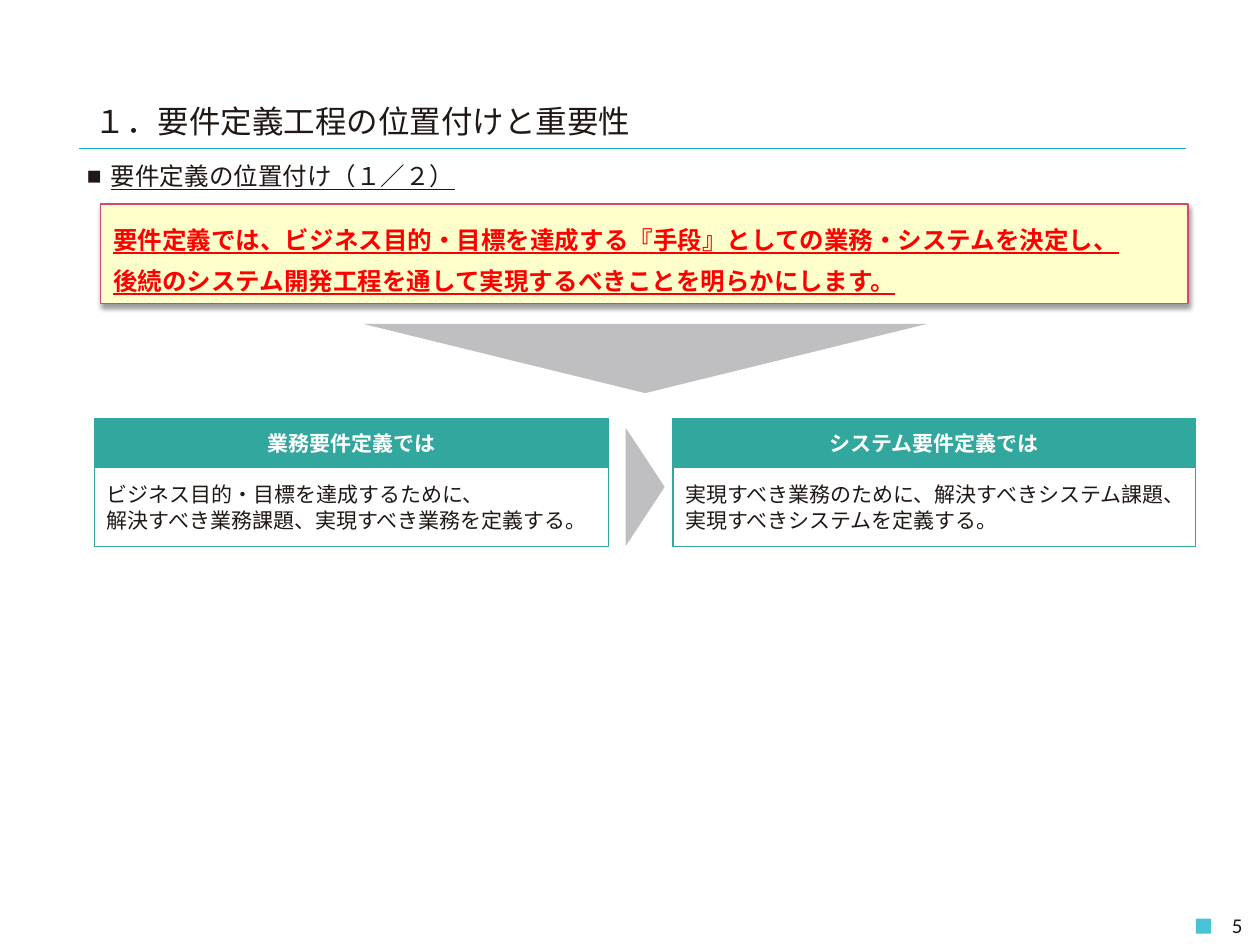
"""Build the slide on the place of requirements definition in a project."""
import copy

import pptx
import pptx.dml.color
import pptx.enum.shapes
import pptx.enum.text
import pptx.oxml
import pptx.oxml.ns
import pptx.util

Inches = pptx.util.Inches
Pt = pptx.util.Pt
RGBColor = pptx.dml.color.RGBColor
Align = pptx.enum.text.PP_ALIGN
Anchor = pptx.enum.text.MSO_ANCHOR
Shape = pptx.enum.shapes.MSO_SHAPE
qn = pptx.oxml.ns.qn

INK = RGBColor(0x20, 0x18, 0x15)
WHITE = RGBColor(0xFF, 0xFF, 0xFF)
RED = RGBColor(0xFF, 0x00, 0x00)
TEAL = RGBColor(0x32, 0xA7, 0x9D)
GRAY = RGBColor(0xBF, 0xBF, 0xC1)
CREAM = RGBColor(0xFF, 0xFF, 0xCC)
PINK = RGBColor(0xD6, 0x47, 0x73)
CYAN = RGBColor(0x47, 0xC3, 0xD3)
RULE = RGBColor(0x1B, 0xAD, 0xBD)
JAPANESE = "Noto Sans CJK JP"

SHADOW = (
    '<a:effectLst %s><a:outerShdw blurRad="39370" dist="20320" dir="5400000" rotWithShape="0">'
    '<a:srgbClr val="000000"><a:alpha val="38000"/></a:srgbClr></a:outerShdw></a:effectLst>'
    % pptx.oxml.ns.nsdecls("a")
)


def write(shape, *texts, size=12, color=INK, bold=False, underline=False, font=JAPANESE,
          align=Align.LEFT, anchor=Anchor.MIDDLE, before=0, spacing=1.0):
    frame = shape.text_frame
    frame.word_wrap = True
    frame.auto_size = pptx.enum.text.MSO_AUTO_SIZE.NONE
    frame.vertical_anchor = anchor
    for index, text in enumerate(texts):
        paragraph = frame.add_paragraph() if index else frame.paragraphs[0]
        paragraph.text = text
        paragraph.alignment = align
        paragraph.space_before = Pt(before)
        paragraph.line_spacing = spacing
        for run in paragraph.runs:
            run.font.size = Pt(size)
            run.font.bold = bold
            run.font.underline = underline
            run.font.color.rgb = color
            run.font.name = font
            properties = run.font._element
            east_asian = properties.makeelement(qn("a:ea"), {"typeface": font})
            properties.append(east_asian)
        for line_break in paragraph._p.findall(qn("a:br")):
            line_break.append(copy.deepcopy(paragraph.runs[0].font._element))


def place(shape, left, top, width, height):
    shape.left, shape.top = Inches(left), Inches(top)
    shape.width, shape.height = Inches(width), Inches(height)


def add_block(shapes, kind, left, top, width, height, fill, line=None, rotation=0):
    shape = shapes.add_shape(kind, Inches(left), Inches(top), Inches(width), Inches(height))
    shape.shadow.inherit = False
    shape.rotation = rotation
    shape.fill.solid()
    shape.fill.fore_color.rgb = fill
    if line is None:
        shape.line.fill.background()
    else:
        shape.line.color.rgb = line
        shape.line.width = Pt(0.75)
    return shape


def add_rule(slide, left, right, top):
    connector = slide.shapes.add_connector(
        pptx.enum.shapes.MSO_CONNECTOR.STRAIGHT,
        Inches(left), Inches(top), Inches(right), Inches(top))
    connector.line.color.rgb = RULE
    connector.line.width = Pt(0.25)
    properties = connector._element.spPr
    properties.append(properties.makeelement(qn("a:effectLst"), {}))


def set_bullet(paragraph, character, indent):
    properties = paragraph._p.get_or_add_pPr()
    properties.set("marL", str(Inches(indent)))
    properties.set("indent", str(-Inches(indent)))
    properties.append(properties.makeelement(qn("a:buChar"), {"char": character}))


def add_card(slide, left, width, heading, body):
    shapes = slide.shapes.add_group_shape().shapes
    header = add_block(shapes, Shape.RECTANGLE, left, 3.32, width, 0.39, TEAL, TEAL)
    write(header, heading, color=WHITE, bold=True, align=Align.CENTER)
    panel = add_block(shapes, Shape.RECTANGLE, left, 3.71, width, 0.63, WHITE, TEAL)
    write(panel, body, before=6)


def add_message(slide, *texts):
    box = add_block(slide.shapes, Shape.RECTANGLE, 0.8, 1.62, 8.63, 0.79, CREAM, PINK)
    properties = box._element.spPr
    properties.replace(properties.find(qn("a:effectLst")), pptx.oxml.parse_xml(SHADOW))
    write(box, *texts, size=14, color=RED, bold=True, underline=True, spacing=1.4)


def add_headings(slide):
    title, body = slide.placeholders
    place(title, 0.65, 0.76, 7.34, 0.39)
    write(title, "１．要件定義工程の位置付けと重要性", size=18, anchor=Anchor.TOP)
    place(body, 0.59, 1.23, 8.9, 0.34)
    write(body, "要件定義の位置付け（１／２）", size=14, underline=True, anchor=Anchor.TOP)
    set_bullet(body.text_frame.paragraphs[0], "■", 0.19)


def add_page_number(slide, number):
    add_block(slide.shapes, Shape.RECTANGLE, 9.49, 7.29, 0.12, 0.12, CYAN)
    box = slide.shapes.add_textbox(Inches(8.57), Inches(7.19), Inches(1.39), Inches(0.31))
    write(box, number, font="Calibri", align=Align.RIGHT)


def main():
    presentation = pptx.Presentation()
    presentation.slide_width, presentation.slide_height = Inches(10), Inches(7.5)
    slide = presentation.slides.add_slide(presentation.slide_layouts[1])
    add_headings(slide)
    add_rule(slide, 0.63, 9.41, 1.18)
    add_page_number(slide, "5")
    add_block(slide.shapes, Shape.ISOSCELES_TRIANGLE, 2.88, 2.57, 4.48, 0.55, GRAY, rotation=180)
    add_card(slide, 0.75, 4.08, "業務要件定義では",
             "ビジネス目的・目標を達成するために、\n解決すべき業務課題、実現すべき業務を定義する。")
    add_card(slide, 5.34, 4.15, "システム要件定義では",
             "実現すべき業務のために、解決すべきシステム課題、実現すべきシステムを定義する。")
    add_block(slide.shapes, Shape.ISOSCELES_TRIANGLE, 4.65, 3.71, 0.94, 0.31, GRAY, rotation=90)
    add_message(slide,
                "要件定義では、ビジネス目的・目標を達成する『手段』としての業務・システムを決定し、",
                "後続のシステム開発工程を通して実現するべきことを明らかにします。")
    presentation.save("out.pptx")


if __name__ == "__main__":
    main()
